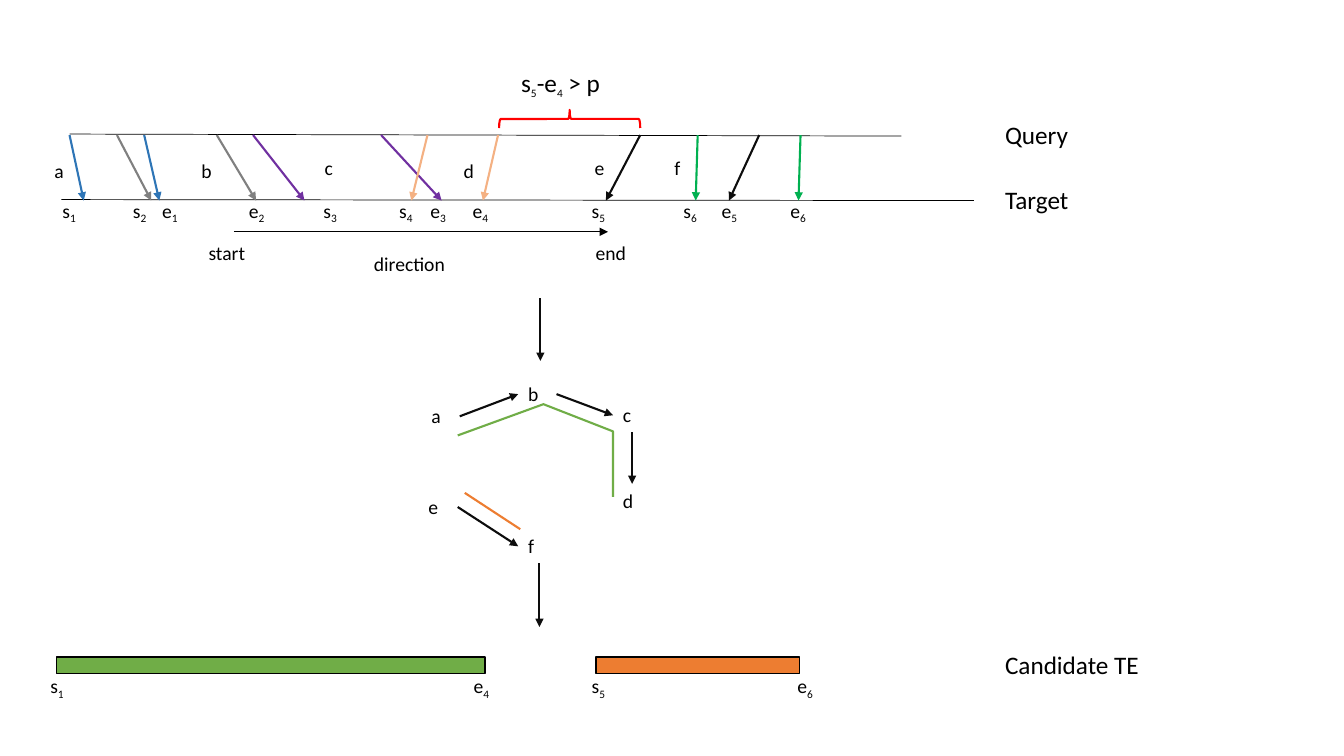
from lxml import etree
from pptx import Presentation
from pptx.dml.color import RGBColor
from pptx.enum.shapes import MSO_CONNECTOR, MSO_SHAPE
from pptx.enum.text import MSO_AUTO_SIZE
from pptx.oxml.ns import qn
from pptx.util import Inches, Pt

COLORS = {
    "black": "000000", "ink": "0D0D0D", "blue": "2E75B6", "gray": "808080",
    "purple": "7030A0", "peach": "F4B183", "emerald": "00B050", "red": "FF0000",
    "green": "70AD47", "orange": "ED7D31",
}
FONT = "Calibri"
SMALL, LARGE = 14, 18
HEIGHTS = {SMALL: 0.34, LARGE: 0.4}

# Rows, in inches from the top
QUERY, TARGET, DIRECTION = 1.34, 1.99, 2.3
INDEX_ROW, BAR_ROW, BAR_LABEL_ROW = 1.92, 6.52, 6.64
ROW_NAME_LEFT = 9.87

ROW_NAMES = [("Query", 1.13), ("Target", 1.78), ("Candidate TE", 6.39)]

# Colour, then (x on the query, x on the target) for the start and the end
MATCHES = [
    ("blue", (0.69, 0.83), (1.43, 1.58)),
    ("gray", (1.16, 1.5), (2.15, 2.54)),
    ("purple", (2.51, 3.02), (3.78, 4.38)),
    ("ink", (6.35, 6.01), (7.53, 7.23)),
    ("peach", (4.24, 4.08), (4.94, 4.79)),
    ("emerald", (6.92, 6.9), (7.94, 7.92)),
]
MATCH_NAMES = [("a", 0.44, 1.53), ("b", 1.9, 1.53), ("c", 3.12, 1.5),
               ("d", 4.5, 1.53), ("e", 5.8, 1.5), ("f", 6.59, 1.5)]
INDEXES = [("s1", 0.52), ("s2", 1.22), ("e1", 1.51), ("e2", 2.37),
           ("s3", 3.11), ("s4", 3.86), ("e3", 4.17), ("e4", 4.59),
           ("s5", 5.77), ("s6", 6.68), ("e5", 7.06), ("e6", 7.74)]
DIRECTION_WORDS = [("start", 1.97, 2.34, 0.66), ("end", 5.81, 2.34, 0.66),
                   ("direction", 3.61, 2.45, 1.13)]
GAP_RULE = [("s", False), ("5", True), ("-e", False), ("4", True), (" > p", False)]

NODES = [("a", 4.18, 3.96), ("b", 5.14, 3.74), ("c", 6.08, 3.95),
         ("d", 6.08, 4.8), ("e", 4.15, 4.86), ("f", 5.14, 5.25)]
GRAPH_EDGES = [((4.56, 4.13), (5.14, 3.91)), ((5.52, 3.91), (6.08, 4.12)),
               ((6.27, 4.29), (6.27, 4.8)), ((4.54, 5.03), (5.14, 5.42))]
STEP_ARROWS = [((5.36, 2.96), (5.36, 3.58)), ((5.35, 5.59), (5.35, 6.22))]
GREEN_CHAIN = [(4.54, 4.32), (5.39, 4.01), (6.08, 4.28), (6.08, 4.93)]
ORANGE_CHAIN = [(4.61, 4.89), (5.16, 5.25)]

CANDIDATES = [("green", 0.56, 4.25), ("orange", 5.91, 2.02)]
CANDIDATE_ENDS = [("s1", 0.4), ("e4", 4.6), ("s5", 5.77), ("e6", 7.81)]

prs = Presentation()
prs.slide_width, prs.slide_height = Inches(13.33), Inches(7.5)
shapes = prs.slides.add_slide(prs.slide_layouts[6]).shapes


def rgb(color):
    return RGBColor.from_string(COLORS[color])


def add_line(start, end, color="ink", width=1.5, arrow=True):
    line = shapes.add_connector(MSO_CONNECTOR.STRAIGHT,
                                *(Inches(v) for v in (*start, *end)))
    line.line.color.rgb = rgb(color)
    line.line.width = Pt(width)
    if arrow:
        etree.SubElement(line.line._get_or_add_ln(), qn("a:tailEnd"), type="triangle")
    etree.SubElement(line._element.spPr, qn("a:effectLst"))


def add_text(runs, left, top, width, size=SMALL, wrap=True):
    """Add a text box from (text, is_subscript) runs."""
    box = shapes.add_textbox(Inches(left), Inches(top), Inches(width),
                             Inches(HEIGHTS[size]))
    frame = box.text_frame
    frame.word_wrap = wrap
    frame.auto_size = MSO_AUTO_SIZE.SHAPE_TO_FIT_TEXT
    for text, subscript in runs:
        run = frame.paragraphs[0].add_run()
        run.text = text
        run.font.name = FONT
        run.font.size = Pt(SMALL if subscript else size)
        run.font.color.rgb = rgb("black")
        if subscript:
            run._r.get_or_add_rPr().set("baseline", "-25000")


def add_index(index, left, top):
    """Add a letter with its number as a subscript."""
    letter, number = index
    add_text([(letter, False), (number, True)], left, top,
             0.35 if letter == "s" else 0.37, wrap=False)


def outline(shape, color, width=1.5, fill=None):
    shape.shadow.inherit = False
    shape.line.color.rgb = rgb(color)
    shape.line.width = Pt(width)
    if fill:
        shape.fill.solid()
        shape.fill.fore_color.rgb = rgb(fill)
    else:
        shape.fill.background()


for name, top in ROW_NAMES:
    add_text([(name, False)], ROW_NAME_LEFT, top, 2.36, LARGE)

# Alignment of query and target
add_line((0.69, 1.33), (8.94, 1.35), "black", 0.5, arrow=False)
add_line((0.61, 1.98), (9.66, TARGET), "black", 0.5, arrow=False)
for color, *ends in MATCHES:
    for query_x, target_x in ends:
        add_line((query_x, QUERY), (target_x, TARGET), color)
for index, left in INDEXES:
    add_index(index, left, INDEX_ROW)
add_line((2.32, DIRECTION), (6.03, DIRECTION), "black", 0.5)
for word, left, top, width in DIRECTION_WORDS:
    add_text([(word, False)], left, top, width)

brace = shapes.add_shape(MSO_SHAPE.LEFT_BRACE, Inches(5.56), Inches(0.48),
                         Inches(0.18), Inches(1.4))
brace.rotation = 90
outline(brace, "red")
add_text(GAP_RULE, 5.07, 0.62, 1.28, LARGE)

# Graph of matches
for name, left, top in MATCH_NAMES + NODES:
    add_text([(name, False)], left, top, 0.39)
for start, end in GRAPH_EDGES + STEP_ARROWS:
    add_line(start, end)
first, *rest = [(Inches(x), Inches(y)) for x, y in GREEN_CHAIN]
chain = shapes.build_freeform(*first)
chain.add_line_segments(rest, close=False)
outline(chain.convert_to_shape(), "green")
add_line(*ORANGE_CHAIN, "orange", arrow=False)

# Candidates
for color, left, width in CANDIDATES:
    bar = shapes.add_shape(MSO_SHAPE.RECTANGLE, Inches(left), Inches(BAR_ROW),
                           Inches(width), Inches(0.16))
    outline(bar, "black", 1, color)
for index, left in CANDIDATE_ENDS:
    add_index(index, left, BAR_LABEL_ROW)

prs.save("out.pptx")
